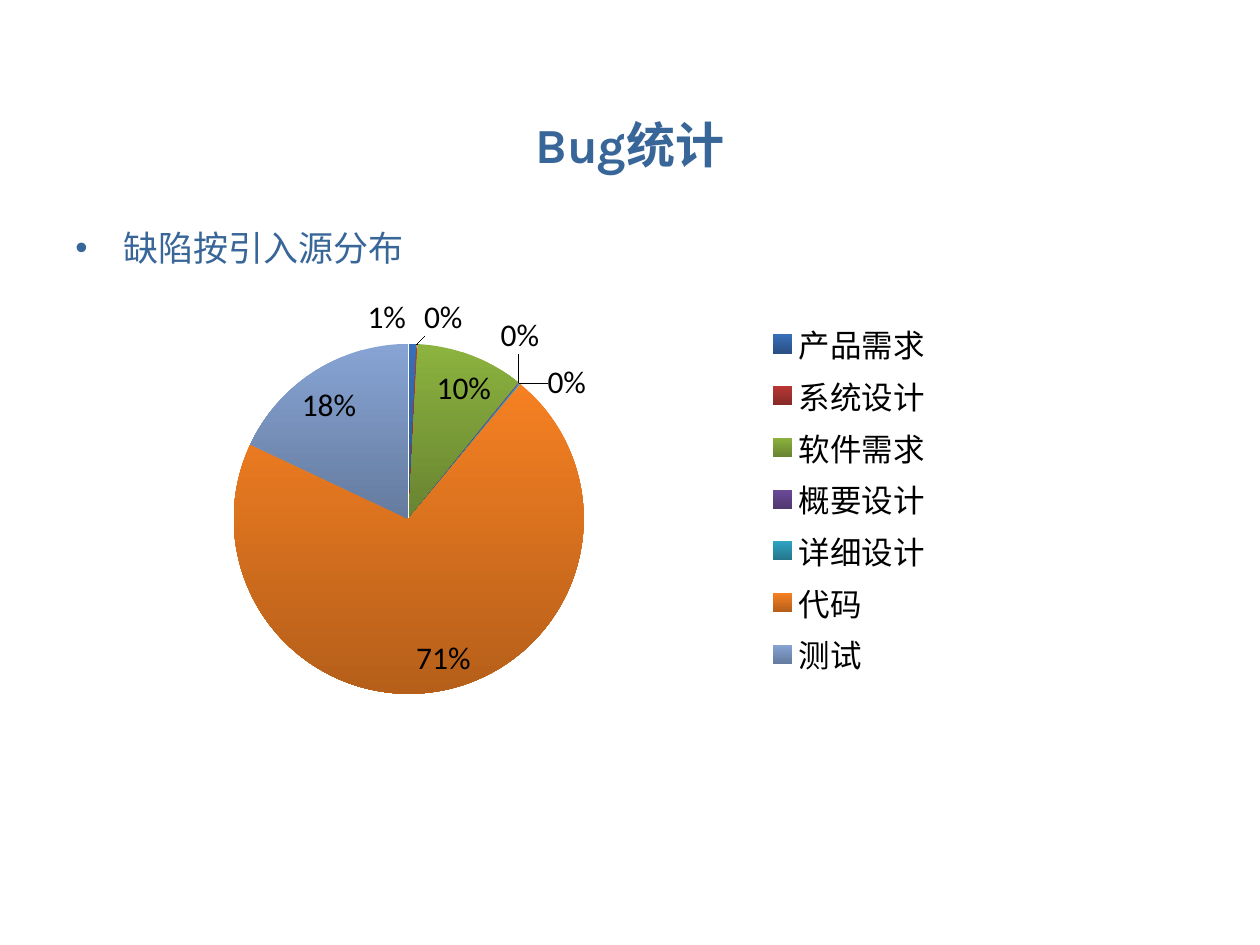
from typing import NamedTuple

from lxml.etree import SubElement
from pptx import Presentation
from pptx.chart.data import CategoryChartData
from pptx.dml.color import RGBColor
from pptx.enum.chart import XL_CHART_TYPE, XL_LABEL_POSITION, XL_LEGEND_POSITION
from pptx.enum.text import MSO_ANCHOR, PP_ALIGN
from pptx.oxml import parse_xml
from pptx.oxml.ns import nsdecls, qn
from pptx.util import Pt

PX = 914400 / 126
TITLE_BLUE = RGBColor(0x38, 0x66, 0x98)
BLACK = RGBColor(0, 0, 0)
CJK = "Noto Sans CJK SC"


class Box(NamedTuple):
    x: int
    y: int
    w: int
    h: int

    def emu(self) -> list[int]:
        return [round(v * PX) for v in self]


class Slice(NamedTuple):
    name: str
    share: float
    top: RGBColor
    bottom: RGBColor


CHART = Box(49, 281, 896, 431)
PIE = Box(234, 344, 350, 350)
LEGEND = Box(765, 315, 168, 368)
SLICES = [
    Slice("产品需求", 0.7, RGBColor(0x37, 0x70, 0xB8), RGBColor(0x2A, 0x50, 0x85)),
    Slice("系统设计", 0.1, RGBColor(0xB8, 0x36, 0x33), RGBColor(0x86, 0x2B, 0x28)),
    Slice("软件需求", 10, RGBColor(0x8C, 0xB2, 0x3F), RGBColor(0x68, 0x84, 0x31)),
    Slice("概要设计", 0.1, RGBColor(0x6C, 0x4A, 0x9A), RGBColor(0x50, 0x38, 0x70)),
    Slice("详细设计", 0.1, RGBColor(0x2F, 0xA3, 0xC2), RGBColor(0x25, 0x76, 0x8C)),
    Slice("代码", 71, RGBColor(0xF6, 0x80, 0x22), RGBColor(0xB5, 0x5F, 0x1A)),
    Slice("测试", 18, RGBColor(0x87, 0xA4, 0xD4), RGBColor(0x65, 0x7B, 0x9F)),
]


def add_text(s, box: Box, text: str, font: str, size: int, bold: bool = False):
    tf = s.shapes.add_textbox(*box.emu()).text_frame
    tf.word_wrap = True
    p = tf.paragraphs[0]
    p.text = text
    r = p.runs[0]
    r.font.name, r.font.size, r.font.bold = font, Pt(size), bold
    r.font.color.rgb = TITLE_BLUE
    SubElement(r.font._element, qn("a:ea")).set("typeface", CJK)
    return tf


def add_bullet(p, indent: int) -> None:
    pPr = p._p.get_or_add_pPr()
    pPr.set("marL", str(round(indent * PX)))
    pPr.set("indent", str(-round(indent * PX)))
    SubElement(pPr, qn("a:buFont")).set("typeface", "Arial")
    SubElement(pPr, qn("a:buChar")).set("char", "•")


def layout_xml(box: Box, inner: bool = False):
    """Manual layout of a chart part, as fractions of the chart frame."""
    target = '<c:layoutTarget val="inner"/>' if inner else ""
    return parse_xml(
        f'<c:layout {nsdecls("c")}><c:manualLayout>{target}'
        '<c:xMode val="edge"/><c:yMode val="edge"/>'
        f'<c:x val="{(box.x - CHART.x) / CHART.w:.3f}"/>'
        f'<c:y val="{(box.y - CHART.y) / CHART.h:.3f}"/>'
        f'<c:w val="{box.w / CHART.w:.3f}"/><c:h val="{box.h / CHART.h:.3f}"/>'
        "</c:manualLayout></c:layout>")


def set_font(font) -> None:
    font.name, font.size = "Calibri", Pt(18)
    font.color.rgb = BLACK


def add_pie(s) -> None:
    data = CategoryChartData()
    data.categories = [item.name for item in SLICES]
    data.add_series("Series 1", [item.share for item in SLICES])
    chart = s.shapes.add_chart(XL_CHART_TYPE.PIE, *CHART.emu(), data).chart
    chart.has_title = False
    set_font(chart.font)

    chart.has_legend = True
    legend = chart.legend
    legend.position = XL_LEGEND_POSITION.RIGHT
    legend.include_in_layout = False
    set_font(legend.font)
    for old in legend._element.findall(qn("c:layout")):
        legend._element.remove(old)
    legend._element.find(qn("c:legendPos")).addnext(layout_xml(LEGEND))

    area = chart._chartSpace.chart.plotArea
    for old in area.findall(qn("c:layout")):
        area.remove(old)
    area.insert(0, layout_xml(PIE, inner=True))

    plot = chart.plots[0]
    plot.vary_by_categories = True
    series = plot.series[0]
    for i, item in enumerate(SLICES):
        fill = series.points[i].format.fill
        fill.gradient()
        fill.gradient_angle = 270
        for stop, color in zip(fill.gradient_stops, (item.top, item.bottom)):
            stop.color.rgb = color

    labels = series.data_labels
    labels.show_percentage = True
    labels.show_value = False
    labels.number_format = "0%"
    labels.number_format_is_linked = False
    labels.position = XL_LABEL_POSITION.BEST_FIT
    set_font(labels.font)


def main() -> None:
    prs = Presentation()
    prs.slide_width, prs.slide_height = round(1260 * PX), round(945 * PX)
    s = prs.slides.add_slide(prs.slide_layouts[6])

    tf = add_text(s, Box(63, 220, 1134, 624), "缺陷按引入源分布", CJK, 20)
    tf.paragraphs[0].space_before = Pt(4)
    add_bullet(tf.paragraphs[0], 48)

    add_pie(s)

    tf = add_text(s, Box(63, 100, 1134, 87), "Bug统计", "Karla", 28, bold=True)
    tf.vertical_anchor = MSO_ANCHOR.MIDDLE
    tf.paragraphs[0].alignment = PP_ALIGN.CENTER

    prs.save("out.pptx")


if __name__ == "__main__":
    main()
